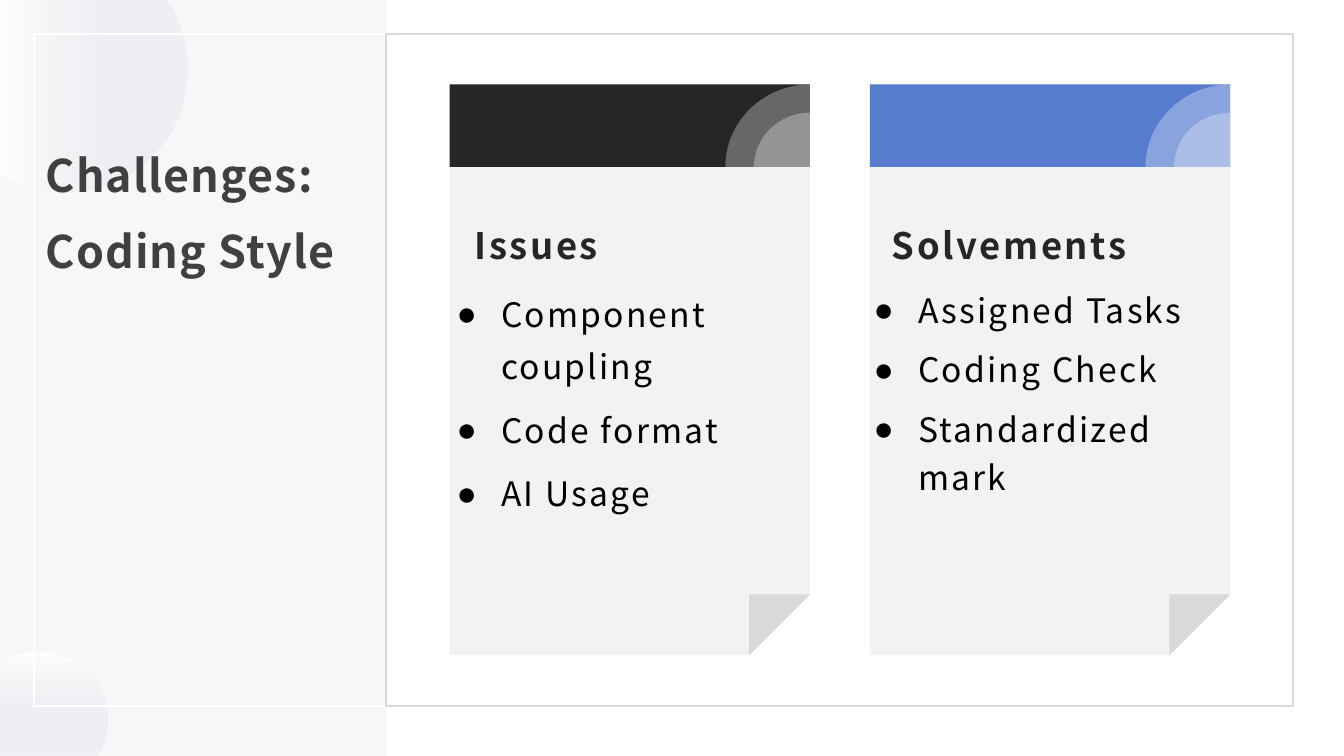
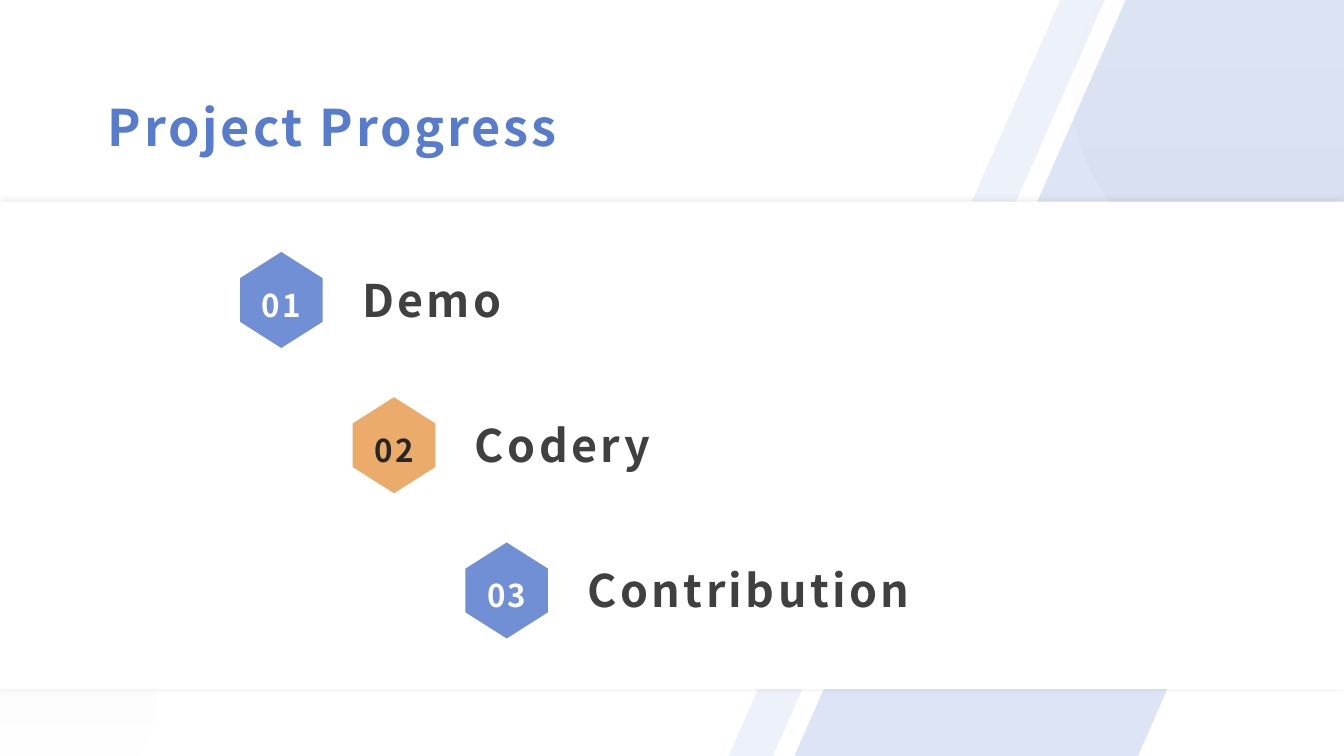
import pptx
import pptx.dml.color
import pptx.enum.shapes
import pptx.enum.text
import pptx.oxml
import pptx.oxml.ns
import pptx.util
from pptx.util import Cm

RGBColor = pptx.dml.color.RGBColor
SHAPE = pptx.enum.shapes.MSO_SHAPE
ALIGN = pptx.enum.text.PP_ALIGN
ANCHOR = pptx.enum.text.MSO_ANCHOR
qn = pptx.oxml.ns.qn
NAMESPACE = pptx.oxml.ns.nsdecls("a")

WHITE = RGBColor(0xFF, 0xFF, 0xFF)
BLACK = RGBColor(0, 0, 0)
INK = RGBColor(0x26, 0x26, 0x26)
TITLE_GREY = RGBColor(0x40, 0x40, 0x40)
BLUE = RGBColor(0x57, 0x7C, 0xCE)
ORANGE = RGBColor(0xE7, 0x96, 0x47)
LAVENDER = RGBColor(0xD8, 0xD8, 0xE4)
PANEL = RGBColor(0xF5, 0xF5, 0xF8)
PAPER = RGBColor(0xF2, 0xF2, 0xF2)
FOLD = RGBColor(0xD9, 0xD9, 0xD9)
FONT = "Noto Sans CJK SC"
WIDTH, HEIGHT = 33.87, 19.05
TITLE_INSETS = (0.18, 0.08)


def set_alpha(shape, *percents):
    """Set the opacity of each fill colour of a shape, in order."""
    for color, percent in zip(shape.element.spPr.iter(qn("a:srgbClr")), percents):
        color.append(pptx.oxml.parse_xml(
            f'<a:alpha {NAMESPACE} val="{percent * 1000}"/>'))


def paint(shape, color, alpha=100):
    """Give a shape a solid fill without line or shadow."""
    shape.shadow.inherit = False
    shape.line.fill.background()
    shape.fill.solid()
    shape.fill.fore_color.rgb = color
    if alpha < 100:
        set_alpha(shape, alpha)
    return shape


def add_box(slide, kind, box, color, alpha=100):
    """Add a filled preset shape."""
    return paint(slide.shapes.add_shape(kind, *map(Cm, box)), color, alpha)


def add_outline(slide, start, segments, color, alpha=100):
    """Add a closed outline whose segments end one line or shape one curve."""
    points = [point for segment in segments for point in segment]
    builder = slide.shapes.build_freeform(*map(Cm, start))
    builder.add_line_segments([tuple(map(Cm, point)) for point in points], close=True)
    shape = builder.convert_to_shape()
    lines = iter(list(shape.element.spPr.iter(qn("a:lnTo"))))
    for segment in segments:
        group = [next(lines) for _ in segment]
        if len(group) == 3:
            curve = pptx.oxml.parse_xml(f"<a:cubicBezTo {NAMESPACE}/>")
            group[0].addprevious(curve)
            for line in group:
                curve.append(line[0])
                line.getparent().remove(line)
    return paint(shape, color, alpha)


def add_polygon(slide, points, color, alpha=100):
    """Add a closed outline of straight sides."""
    return add_outline(slide, points[0], [[point] for point in points[1:]], color, alpha)


def add_glow(slide, start, segments, angle, start_alpha):
    """Add an outline fading from white to lavender."""
    shape = add_outline(slide, start, segments, WHITE)
    shape.fill.gradient()
    shape.fill.gradient_angle = angle
    for stop, color in zip(shape.fill.gradient_stops, (WHITE, LAVENDER)):
        stop.color.rgb = color
    set_alpha(shape, start_alpha, 24)


def add_quarter(slide, corner, width, height):
    """Add a pale quarter disc up and left of a corner."""
    x, y = corner
    bend = 0.55
    add_outline(slide, (x, y - height), [
        [(x - bend * width, y - height), (x - width, y - bend * height), (x - width, y)],
        [(x, y)]], WHITE, 30)


def write_text(shape, lines, size, color, spacing, bold=True, line_spacing=1.0,
               after=0, align=ALIGN.LEFT, anchor=ANCHOR.TOP, insets=(0, 0.13),
               bullet_indent=0):
    """Write one paragraph per line in a common format."""
    frame = shape.text_frame
    frame.auto_size = pptx.enum.text.MSO_AUTO_SIZE.NONE
    frame.word_wrap = True
    frame.vertical_anchor = anchor
    frame.margin_left = frame.margin_right = Cm(insets[0])
    frame.margin_top = frame.margin_bottom = Cm(insets[1])
    frame.text = "\n".join(lines)
    for paragraph in frame.paragraphs:
        paragraph.alignment = align
        paragraph.line_spacing = line_spacing
        paragraph.space_after = pptx.util.Pt(after)
        font = paragraph.font
        font.name, font.size, font.bold = FONT, pptx.util.Pt(size), bold
        font.color.rgb = color
        properties = paragraph._p.get_or_add_pPr()
        defaults = properties.get_or_add_defRPr()
        defaults.set("spc", str(round(spacing * 100)))
        if bullet_indent:
            properties.set("marL", str(Cm(bullet_indent)))
            properties.set("indent", str(-Cm(bullet_indent)))
            for tag in ('buFont typeface="Arial"', 'buChar char="●"'):
                defaults.addprevious(pptx.oxml.parse_xml(
                    f"<a:{tag} {NAMESPACE}/>"))


def add_text(slide, box, lines, size, color, spacing, **style):
    """Add a text box."""
    shape = slide.shapes.add_textbox(*map(Cm, box))
    write_text(shape, lines, size, color, spacing, **style)


def place_title(slide, box, lines, size, color, spacing, **style):
    """Move the title placeholder in front and format it."""
    title = slide.shapes.title
    title.left, title.top, title.width, title.height = map(Cm, box)
    write_text(title, lines, size, color, spacing, insets=TITLE_INSETS, **style)
    title.element.getparent().append(title.element)


def add_frame(slide, box, color):
    """Add an outlined rectangle without fill."""
    frame = add_box(slide, SHAPE.RECTANGLE, box, WHITE)
    frame.fill.background()
    frame.line.color.rgb = color
    frame.line.width = pptx.util.Pt(1.5)


def add_quote_mark(slide, left, top, alpha):
    """Add one half of the pale opening quotation mark."""
    tip, notch = (0.89, 0), (1.19, 0.28)
    segments = [[(0, 2.57)], [(0, 1.45)], [(0.05, 0.48), tip, tip],
                [(0.94, 0.08)], [(1.02, 0.13), (1.09, 0.2), (1.14, 0.25)],
                [notch], [notch, (0.71, 0.64), (0.66, 1.3)], [(1.27, 1.3)]]
    add_outline(slide, (left + 1.27, top + 2.57),
                [[(left + x, top + y) for x, y in segment] for segment in segments],
                WHITE, alpha)


def add_side_panel(slide, box, lines):
    """Add the pale title panel with its ornaments."""
    left, top, width, height = box
    margin = 0.85
    inner_height = 16.94
    add_box(slide, SHAPE.RECTANGLE, box, PANEL, 70)
    add_glow(slide, (0, 4.34), [
        [(0, 0)], [(4.19, 0)], [(4.34, 0.25)],
        [(4.57, 0.69), (4.72, 1.19), (4.72, 1.73)],
        [(4.72, 3.45), (3.35, 4.85), (1.65, 4.85)],
        [(1.12, 4.85), (0.64, 4.72), (0.2, 4.47)]], 0, 100)
    add_glow(slide, (2.44, HEIGHT), [
        [(0, HEIGHT)], [(0, 16.71)], [(0.13, 16.64)],
        [(0.38, 16.51), (0.66, 16.43), (0.97, 16.43)],
        [(1.93, 16.43), (2.72, 17.2), (2.72, 18.14)],
        [(2.72, 18.44), (2.64, 18.72), (2.51, 18.97)]], 270, 100)
    add_frame(slide, (left + margin, top + margin, width - margin, inner_height), WHITE)
    add_frame(slide, (left + width, top + margin, 22.86, inner_height), LAVENDER)
    for mark_left, alpha in ((3.58, 36), (1.91, 34)):
        add_quote_mark(slide, left + mark_left, top + 13.03, alpha)
    place_title(slide, (left + 0.97, top + 3.38, 8.84, 3.81), lines, 32,
                TITLE_GREY, 0.8, line_spacing=1.2, after=8)


def add_card(slide, box, heading, items, color, inset, line_spacing):
    """Add a folded paper card with a coloured band, heading and bullets."""
    left, top, width, height = box
    fold = 1.53
    band_height = 2.08
    paper = add_box(slide, SHAPE.SNIP_1_RECTANGLE, box, PAPER)
    paper.element.spPr.find(qn("a:xfrm")).set("flipV", "1")
    flap = add_box(slide, SHAPE.RIGHT_TRIANGLE,
                   (left + width - fold, top + height - fold, fold, fold), FOLD)
    flap.rotation = 90
    add_box(slide, SHAPE.RECTANGLE, (left, top, width, band_height), color)
    for size in ((2.13, band_height), (1.41, 1.37)):
        add_quarter(slide, (left + width, top + band_height), *size)
    add_text(slide, (left + inset + 0.46, top + 2.56, 7.95, 2.16), [heading],
             26, INK, 1.8, anchor=ANCHOR.BOTTOM)
    add_text(slide, (left + inset, top + 4.84, 8.8, 8), items, 24, BLACK, 1.6,
             bold=False, line_spacing=line_spacing, after=8, bullet_indent=1.12)


def build_challenges(slide):
    """Build the slide with issues beside their remedies."""
    add_side_panel(slide, (0, 0, 9.73, HEIGHT), ["Challenges:", "Coding Style"])
    cards = (
        ("Issues", ["Component coupling", "Code format", "AI Usage"],
         INK, 0.18, 1.3),
        ("Solvements", ["Assigned Tasks", "Coding Check", "Standardized mark"],
         BLUE, 0.1, 1.2),
    )
    for index, card in enumerate(cards):
        add_card(slide, (11.33 + index * 10.59, 2.13, 9.08, 14.38), *card)


def add_backdrop(slide):
    """Add the slanted stripes, glows and the white band."""
    add_glow(slide, (27.74, 0), [
        [(WIDTH, 0)], [(WIDTH, 5.94)], [(33.53, 6.15)],
        [(32.89, 6.48), (32.18, 6.68), (31.42, 6.68)],
        [(28.98, 6.68), (27.03, 4.75), (27.03, 2.34)],
        [(27.03, 1.6), (27.2, 0.89), (27.56, 0.28)]], 270, 10)
    add_glow(slide, (3.53, HEIGHT), [
        [(0, HEIGHT)], [(0, 15.65)], [(0.2, 15.52)],
        [(0.56, 15.34), (0.97, 15.21), (1.4, 15.21)],
        [(2.79, 15.21), (3.94, 16.33), (3.94, 17.7)],
        [(3.94, 18.06), (3.81, 18.42), (3.63, 18.75)]], 90, 10)
    add_polygon(slide, [(26.72, 0), (27.84, 0), (19.48, HEIGHT), (18.36, HEIGHT)],
                BLUE, 10)
    add_polygon(slide, [(28.37, 0), (WIDTH, 0), (WIDTH, 7.19),
                        (28.68, HEIGHT), (20.02, HEIGHT)], BLUE, 20)
    band = add_box(slide, SHAPE.RECTANGLE, (0, 5.08, WIDTH, 12.28), WHITE)
    band.element.spPr.find(qn("a:effectLst")).append(pptx.oxml.parse_xml(
        f'<a:outerShdw {NAMESPACE} blurRad="{pptx.util.Pt(5)}" dist="0">'
        '<a:srgbClr val="0D0D0D"><a:alpha val="10000"/></a:srgbClr></a:outerShdw>'))


def add_step(slide, box, number, label, color, alpha, number_color):
    """Add a numbered hexagon and the label beside it."""
    left, top, width, height = box
    middle, right = left + width / 2, left + width
    upper, lower = top + 0.66, top + height - 0.66
    add_polygon(slide, [(middle, top), (right, upper), (right, lower),
                        (middle, top + height), (left, lower), (left, upper)],
                color, alpha)
    add_text(slide, (left + 2.83, top + 0.38, 13.26, 1.88), [label], 32,
             TITLE_GREY, 2.4, after=8, insets=(0.25, 0.13))
    add_text(slide, (left + 0.28, top + 0.53, 1.52, 1.32), [number], 22.4,
             number_color, 1.5, line_spacing=1.3, align=ALIGN.CENTER,
             anchor=ANCHOR.MIDDLE, insets=(0, 0))


def build_progress(slide):
    """Build the slide with the staircase of steps."""
    add_backdrop(slide)
    place_title(slide, (2.54, 2.12, 22.02, 2.12), ["Project Progress"], 36,
                BLUE, 2, anchor=ANCHOR.MIDDLE)
    steps = (("Demo", BLUE, 85, WHITE), ("Codery", ORANGE, 80, INK),
             ("Contribution", BLUE, 85, WHITE))
    for index, step in enumerate(steps):
        add_step(slide, (6.05 + index * 2.84, 6.35 + index * 3.66, 2.08, 2.42),
                 f"{index + 1:02}", *step)


def main():
    """Build and save the presentation."""
    presentation = pptx.Presentation()
    presentation.slide_width, presentation.slide_height = Cm(WIDTH), Cm(HEIGHT)
    title_only = presentation.slide_layouts[5]
    for build in (build_challenges, build_progress):
        build(presentation.slides.add_slide(title_only))
    presentation.save("out.pptx")


if __name__ == "__main__":
    main()
